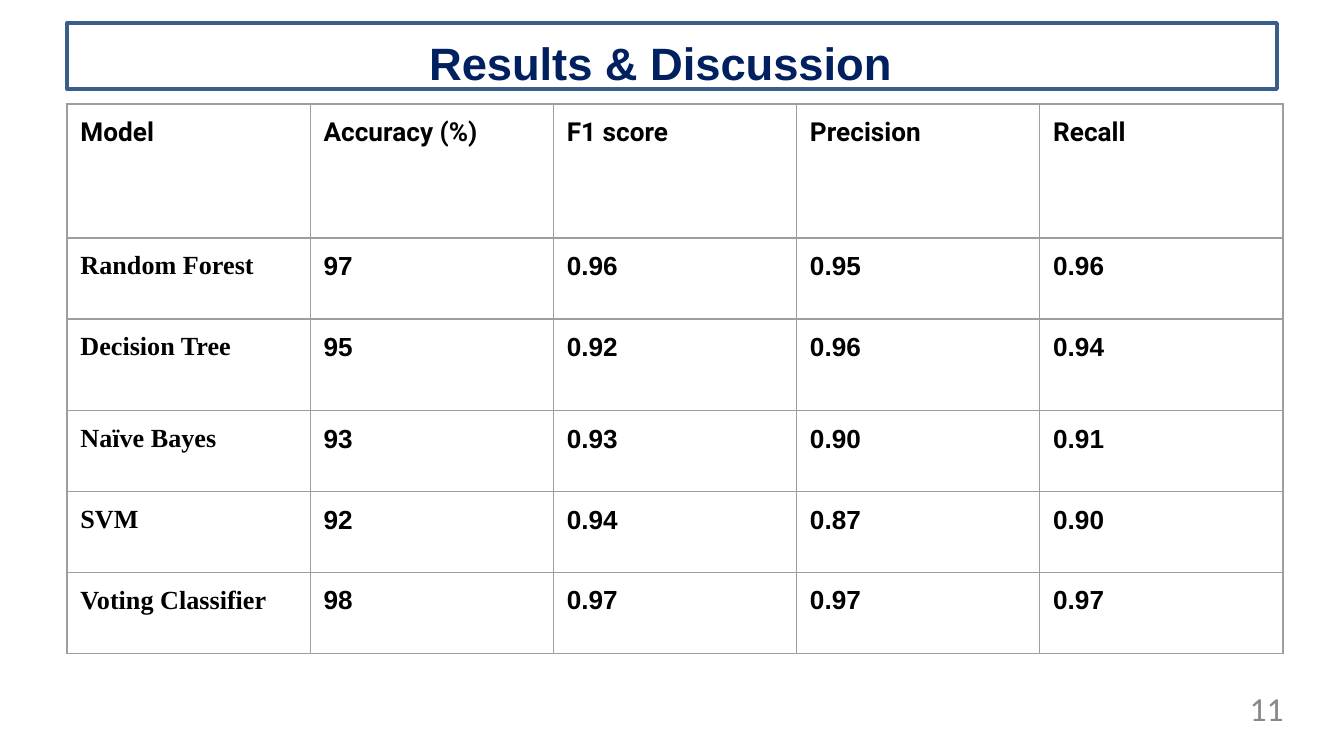
"""Build the model comparison results slide."""
from lxml import etree
from pptx import Presentation, util as u
from pptx.dml.color import RGBColor
from pptx.enum import shapes, text
from pptx.oxml import ns

SCALE = 914400 / 134.4
COLORS = {"title": "002060", "frame": "395E89", "body": "000000",
          "grid": "9E9E9E", "number": "888888"}
HEADERS = ["Model", "Accuracy (%)", "F1 score", "Precision", "Recall"]
RESULTS = [
    ["Random Forest", "97", "0.96", "0.95", "0.96"],
    ["Decision Tree", "95", "0.92", "0.96", "0.94"],
    ["Naïve Bayes", "93", "0.93", "0.90", "0.91"],
    ["SVM", "92", "0.94", "0.87", "0.90"],
    ["Voting Classifier", "98", "0.97", "0.97", "0.97"],
]
ROW_HEIGHTS = [134, 81, 92, 81, 81, 81]


def px(length):
    """Turn pixels into EMU."""
    return u.Emu(round(length * SCALE))


def format_text(frame, font_name, size, color, bold=False, align=text.PP_ALIGN.LEFT):
    """Format every paragraph and run of a text frame."""
    for paragraph in frame.paragraphs:
        paragraph.alignment = align
        for run in paragraph.runs:
            run.font.name = font_name
            run.font.size = u.Pt(size)
            run.font.bold = bold
            run.font.color.rgb = RGBColor.from_string(COLORS[color])


def add_heading(slide, left, top, width, height):
    """Place the outlined frame and the slide title inside it."""
    frame = slide.shapes.add_shape(shapes.MSO_SHAPE.RECTANGLE,
                                   px(left), px(top), px(width), px(height))
    frame.shadow.inherit = False
    frame.fill.background()
    frame.line.color.rgb = RGBColor.from_string(COLORS["frame"])
    frame.line.width = u.Pt(2)

    title = slide.shapes.title
    title.left, title.top = px(left), px(top + 19)
    title.width, title.height = px(width - 23), px(40)
    title.text_frame.text = "Results & Discussion"
    title.text_frame.auto_size = text.MSO_AUTO_SIZE.NONE
    title.text_frame.vertical_anchor = text.MSO_ANCHOR.MIDDLE
    format_text(title.text_frame, "Arial", 24.3, "title", True, text.PP_ALIGN.CENTER)


def add_borders(cell):
    """Draw a thin line on all four sides of a cell."""
    properties = cell._tc.get_or_add_tcPr()
    for side in ("a:lnL", "a:lnR", "a:lnT", "a:lnB"):
        line = etree.SubElement(properties, ns.qn(side), w=str(u.Pt(0.75)))
        fill = etree.SubElement(line, ns.qn("a:solidFill"))
        etree.SubElement(fill, ns.qn("a:srgbClr"), val=COLORS["grid"])


def add_results_table(slide, left, top, width):
    """Place the table of scores, one model a row."""
    rows = [HEADERS] + RESULTS
    table = slide.shapes.add_table(len(rows), len(HEADERS), px(left), px(top),
                                   px(width), px(sum(ROW_HEIGHTS))).table
    table.first_row = table.horz_banding = False
    for column in table.columns:
        column.width = px(width / len(HEADERS))
    for row_index, values in enumerate(rows):
        table.rows[row_index].height = px(ROW_HEIGHTS[row_index])
        for column_index, value in enumerate(values):
            cell = table.cell(row_index, column_index)
            cell.text_frame.text = value
            cell.margin_left = cell.margin_right = u.Inches(0.1)
            cell.margin_top = cell.margin_bottom = u.Inches(0.1)
            add_borders(cell)
            cell.fill.background()
            if row_index == 0:
                font_name = "Roboto"
            else:
                font_name = "Arial" if column_index else "Times New Roman"
            format_text(cell.text_frame, font_name, 14, "body", True)


def add_slide_number(slide, left, top, width, height):
    """Place the slide number at the right of its box."""
    box = slide.shapes.add_textbox(px(left), px(top), px(width), px(height))
    frame = box.text_frame
    frame.word_wrap = True
    frame.vertical_anchor = text.MSO_ANCHOR.MIDDLE
    frame.margin_left = frame.margin_right = u.Inches(0.07)
    frame.margin_top = frame.margin_bottom = u.Inches(0.04)
    frame.text = "11"
    format_text(frame, "Calibri", 18, "number", align=text.PP_ALIGN.RIGHT)


def main():
    """Build and save the presentation."""
    presentation = Presentation()
    presentation.slide_width, presentation.slide_height = px(1344), px(756)
    slide = presentation.slides.add_slide(presentation.slide_layouts[5])
    add_heading(slide, 67, 23, 1210, 66)
    add_results_table(slide, 67, 104, 1216)
    add_slide_number(slide, 980, 684, 313, 48)
    presentation.save("out.pptx")


if __name__ == "__main__":
    main()
